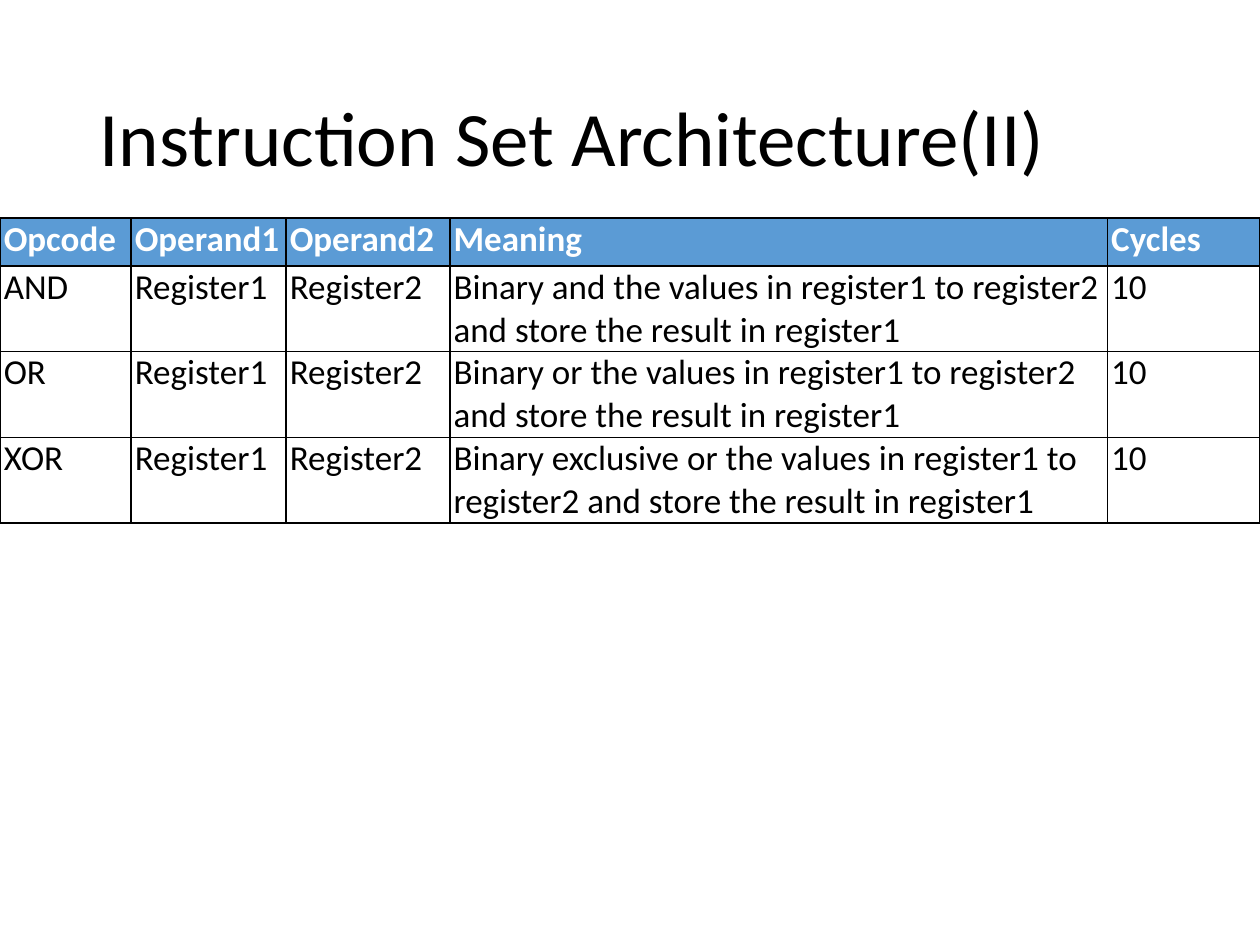
from lxml import etree
from pptx import Presentation
from pptx import util as u
from pptx.dml.color import RGBColor
from pptx.enum import text
from pptx.oxml import ns

WIDTH, HEIGHT = 10, 7.5
FONT = "Calibri"
BLACK, WHITE, BLUE = "000000", "FFFFFF", "5B9BD5"

HEADINGS = ["Opcode", "Operand1", "Operand2", "Meaning", "Cycles"]
COLUMNS = [1.04, 1.23, 1.3, 5.22, 1.21]
OPERATIONS = [
    ("AND", "Binary and"),
    ("OR", "Binary or"),
    ("XOR", "Binary exclusive or"),
]
EFFECT = "the values in register1 to register2 and store the result in register1"


def color(value):
    return RGBColor.from_string(value)


def write(paragraph, words, size, ink, bold=False):
    run = paragraph.add_run()
    run.text = words
    run.font.name, run.font.size, run.font.bold = FONT, u.Pt(size), bold
    run.font.color.rgb = color(ink)


def outline(cell, ink=BLACK, width=1):
    props = cell._tc.get_or_add_tcPr()
    for index, side in enumerate(("lnL", "lnR", "lnT", "lnB")):
        line = etree.Element(ns.qn("a:" + side), w=str(u.Pt(width)))
        fill = etree.SubElement(line, ns.qn("a:solidFill"))
        etree.SubElement(fill, ns.qn("a:srgbClr"), val=ink)
        props.insert(index, line)


def add_heading(slide, left, top, width, height):
    heading = slide.shapes.title
    heading.left, heading.top = u.Inches(left), u.Inches(top)
    heading.width, heading.height = u.Inches(width), u.Inches(height)
    frame = heading.text_frame
    frame.word_wrap = True
    frame.vertical_anchor = text.MSO_ANCHOR.MIDDLE
    paragraph = frame.paragraphs[0]
    paragraph.alignment = text.PP_ALIGN.LEFT
    paragraph.line_spacing = 0.9
    write(paragraph, "Instruction Set Architecture(II)", 44, BLACK)


def add_instructions(slide, left, top, width, row_height):
    rows = [HEADINGS] + [
        [opcode, "Register1", "Register2", f"{action} {EFFECT}", "10"]
        for opcode, action in OPERATIONS
    ]
    instructions = slide.shapes.add_table(
        len(rows), len(HEADINGS), u.Inches(left), u.Inches(top),
        u.Inches(width), u.Inches(row_height * len(rows))).table
    for column, share in zip(instructions.columns, COLUMNS):
        column.width = u.Inches(width * share / sum(COLUMNS))

    for r, row in enumerate(rows):
        header = r == 0
        for c, words in enumerate(row):
            cell = instructions.cell(r, c)
            cell.margin_left = cell.margin_right = u.Inches(0.03)
            cell.margin_top = cell.margin_bottom = 0
            if header:
                cell.fill.solid()
                cell.fill.fore_color.rgb = color(BLUE)
            else:
                cell.fill.background()
            outline(cell)
            write(cell.text_frame.paragraphs[0], words, 20,
                  WHITE if header else BLACK, header)


deck = Presentation()
deck.slide_width, deck.slide_height = u.Inches(WIDTH), u.Inches(HEIGHT)
slide = deck.slides.add_slide(deck.slide_layouts[5])  # title only

# Instruction table across the full width
add_instructions(slide, 0, 1.73, WIDTH, 0.38)
# Slide title
add_heading(slide, 0.69, 0.4, 8.62, 1.45)

deck.save("out.pptx")
